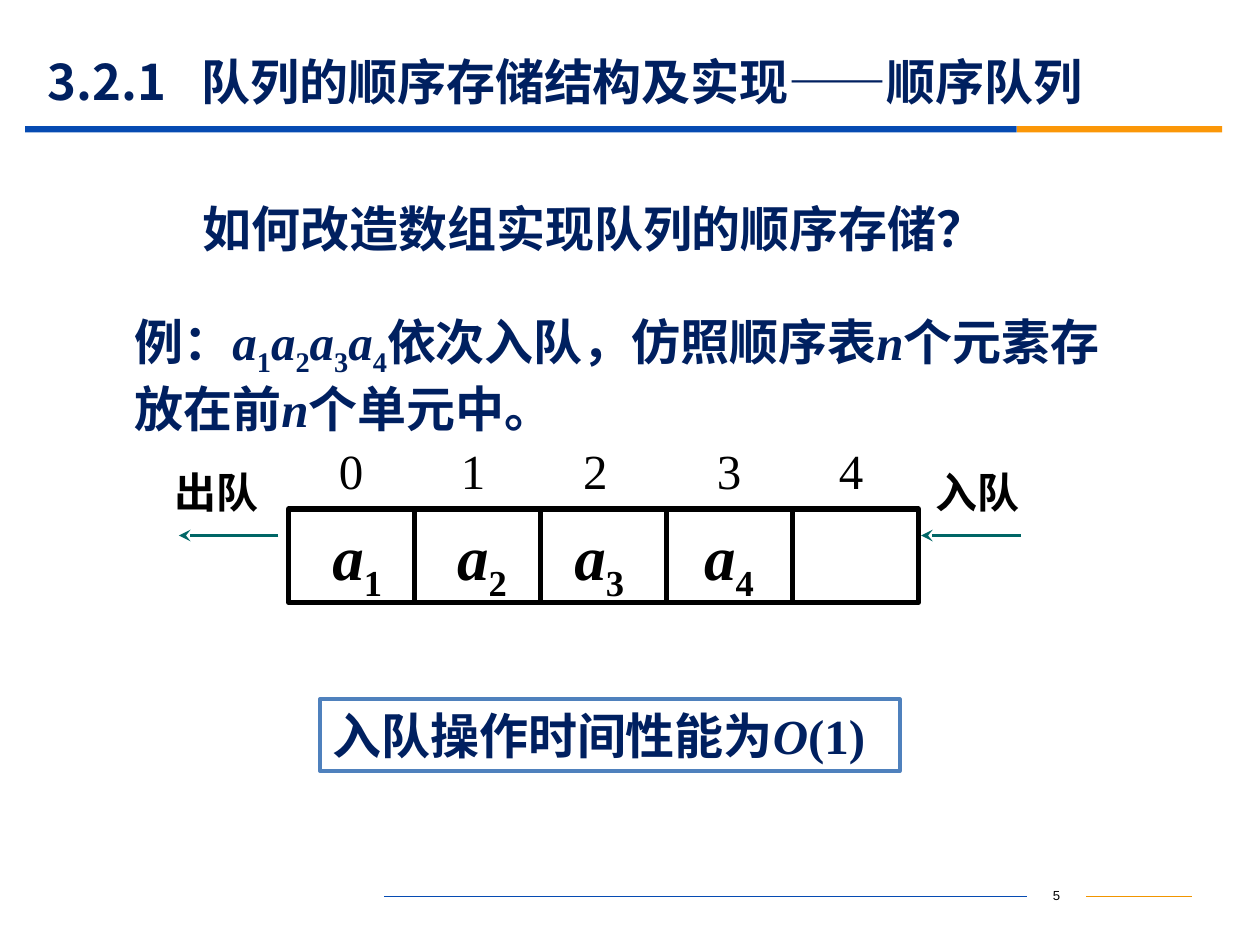
from dataclasses import dataclass

from lxml.etree import SubElement
from pptx import Presentation
from pptx.dml.color import RGBColor
from pptx.enum.shapes import MSO_CONNECTOR, MSO_SHAPE
from pptx.enum.text import MSO_ANCHOR, PP_ALIGN
from pptx.oxml.ns import qn
from pptx.util import Inches, Pt

# Grid: 100 columns by 75 rows of equal squares
UNIT = Inches(0.1)
COLUMNS, ROWS = 100, 75

NAVY = RGBColor(0x00, 0x20, 0x60)
BLUE = RGBColor(0x06, 0x4B, 0xB2)
ORANGE = RGBColor(0xFB, 0x97, 0x08)
DARK_ORANGE = RGBColor(0xF1, 0x95, 0x00)
TEAL = RGBColor(0x00, 0x66, 0x66)
FRAME_BLUE = RGBColor(0x4F, 0x81, 0xBD)
BLACK = RGBColor(0, 0, 0)
WHITE = RGBColor(0xFF, 0xFF, 0xFF)

SERIF = "Times New Roman"
CHINESE = "Noto Sans CJK SC"


@dataclass
class Box:
    left: float
    top: float
    width: float
    height: float

    def inner(self, left, top, width, height):
        return Box(self.left + left, self.top + top, width, height)

    def lengths(self):
        return [round(value * UNIT) for value in
                (self.left, self.top, self.width, self.height)]


def format_span(span, size, color, bold=True, name=SERIF, italic=False, sub=False):
    font = span.font
    font.size, font.bold, font.italic, font.name = Pt(size), bold, italic, name
    font.color.rgb = color
    properties = span._r.get_or_add_rPr()
    SubElement(properties, qn("a:ea")).set("typeface", CHINESE)
    if sub:
        properties.set("baseline", "-25000")


def add_tab_stops(para, stops):
    tabs = SubElement(para._p.get_or_add_pPr(), qn("a:tabLst"))
    for stop in stops:
        tab = SubElement(tabs, qn("a:tab"))
        tab.set("pos", str(round(stop * UNIT)))
        tab.set("algn", "l")


def add_text(page, box, pieces, size, color, **style):
    """Pieces are (text, kind) pairs; kind is "", "italic" or "sub"."""
    frame = page.shapes.add_textbox(*box.lengths()).text_frame
    frame.word_wrap = True
    para = frame.paragraphs[0]
    for text, kind in pieces:
        span = para.add_run()
        span.text = text
        format_span(span, size, color, italic=kind == "italic",
                    sub=kind == "sub", **style)
    return para


def add_rectangle(page, box, fill=None, line=None, width=0):
    shape = page.shapes.add_shape(MSO_SHAPE.RECTANGLE, *box.lengths())
    shape.shadow.inherit = False
    if fill is None:
        shape.fill.background()
    else:
        shape.fill.solid()
        shape.fill.fore_color.rgb = fill
    if line is None:
        shape.line.fill.background()
    else:
        shape.line.color.rgb = line
        shape.line.width = Pt(width)


def add_line(page, start, end, row, color, width, arrow=False):
    x1, x2, y = (round(value * UNIT) for value in (start, end, row))
    line = page.shapes.add_connector(MSO_CONNECTOR.STRAIGHT, x1, y, x2, y)
    line.line.color.rgb = color
    line.line.width = Pt(width)
    properties = line._element.spPr
    if arrow:
        outline = properties.find(qn("a:ln"))
        SubElement(outline, qn("a:tailEnd")).set("type", "stealth")
    SubElement(properties, qn("a:effectLst"))


def subscripted(index):
    return [("a", "italic"), (str(index), "sub")]


def add_header(page, box):
    title = page.shapes.title
    title.left, title.top, title.width, title.height = box.inner(0.8, 0, 90, 4.3).lengths()
    frame = title.text_frame
    frame.text = "3.2.1\t队列的顺序存储结构及实现——顺序队列"
    frame.vertical_anchor = MSO_ANCHOR.MIDDLE
    para = frame.paragraphs[0]
    para.alignment = PP_ALIGN.LEFT
    add_tab_stops(para, [12.2])
    format_span(para.runs[0], 28, NAVY, name=CHINESE)
    # Two-coloured rule below the title
    add_rectangle(page, box.inner(0, 5.7, 78.7, 0.5), BLUE)
    add_rectangle(page, box.inner(78.7, 5.7, 16.3, 0.5), ORANGE)


def add_explanation(page, box):
    add_text(page, box.inner(5.4, 0, 68.9, 5.7),
             [("如何改造数组实现队列的顺序存储？", "")], 28, NAVY)
    sequence = [piece for index in range(1, 5) for piece in subscripted(index)]
    add_text(page, box.inner(0, 8.9, 79, 10.3),
             [("例：", ""), *sequence, ("依次入队，仿照顺序表", ""), ("n", "italic"),
              ("个元素存放在前", ""), ("n", "italic"), ("个单元中。", "")], 28, NAVY)


def add_queue(page, box):
    cell_width, cell_height, array_left, array_top = 10, 7.4, 10, 5.9
    # Array cells
    for index in range(5):
        add_rectangle(page, box.inner(array_left + index * cell_width, array_top,
                                      cell_width, cell_height), WHITE, BLACK, 3)
    # Cell numbers
    numbers = add_text(page, box.inner(13, 0, 46.8, 5.7), [("0\t1\t2\t3\t4", "")],
                       28, BLACK, bold=False)
    add_tab_stops(numbers, [9.7, 19.4, 30, 39.7])
    # Stored elements
    for index, inset in enumerate([2.5, 2.4, 1.7, 2]):
        left = array_left + index * cell_width + inset
        add_text(page, box.inner(left, array_top + 0.2, 6.4, 7),
                 subscripted(index + 1), 36, BLACK)
    # Leaving on the left, entering on the right
    for label, left, arrow_left in [("出队", 0, 1.3), ("入队", 60.4, 60.2)]:
        add_text(page, box.inner(left, 2, 10.8, 5), [(label, "")], 24, BLACK)
        end = box.left + arrow_left
        add_line(page, end + 7.9, end, box.top + 8, TEAL, 2.25, arrow=True)


def add_result(page, box):
    add_rectangle(page, box, line=FRAME_BLUE, width=2.25)
    add_text(page, box, [("入队操作时间性能为", ""), ("O", "italic"), ("(1)", "")],
             28, NAVY)


def add_footer(page, box):
    middle = box.top + box.height / 2
    add_line(page, box.left, box.left + 51, middle, BLUE, 0.75)
    add_line(page, box.left + 55.7, box.left + 64.1, middle, DARK_ORANGE, 0.75)
    number = add_text(page, box.inner(51, 0, 4.7, 2.5), [("5", "")], 7.5, BLACK,
                      bold=False, name="Arial")
    number.alignment = PP_ALIGN.CENTER


def main():
    deck = Presentation()
    deck.slide_width, deck.slide_height = COLUMNS * UNIT, ROWS * UNIT
    page = deck.slides.add_slide(deck.slide_layouts.get_by_name("Title Only"))
    add_header(page, Box(2, 4.3, 95, 6.2))
    add_explanation(page, Box(9.7, 15.3, 79, 19.2))
    add_queue(page, Box(12.9, 34.5, 71.2, 13.3))
    add_result(page, Box(25.4, 55.5, 46, 5.7))
    add_footer(page, Box(30.5, 69.9, 64.1, 2.5))
    deck.save("out.pptx")


if __name__ == "__main__":
    main()
